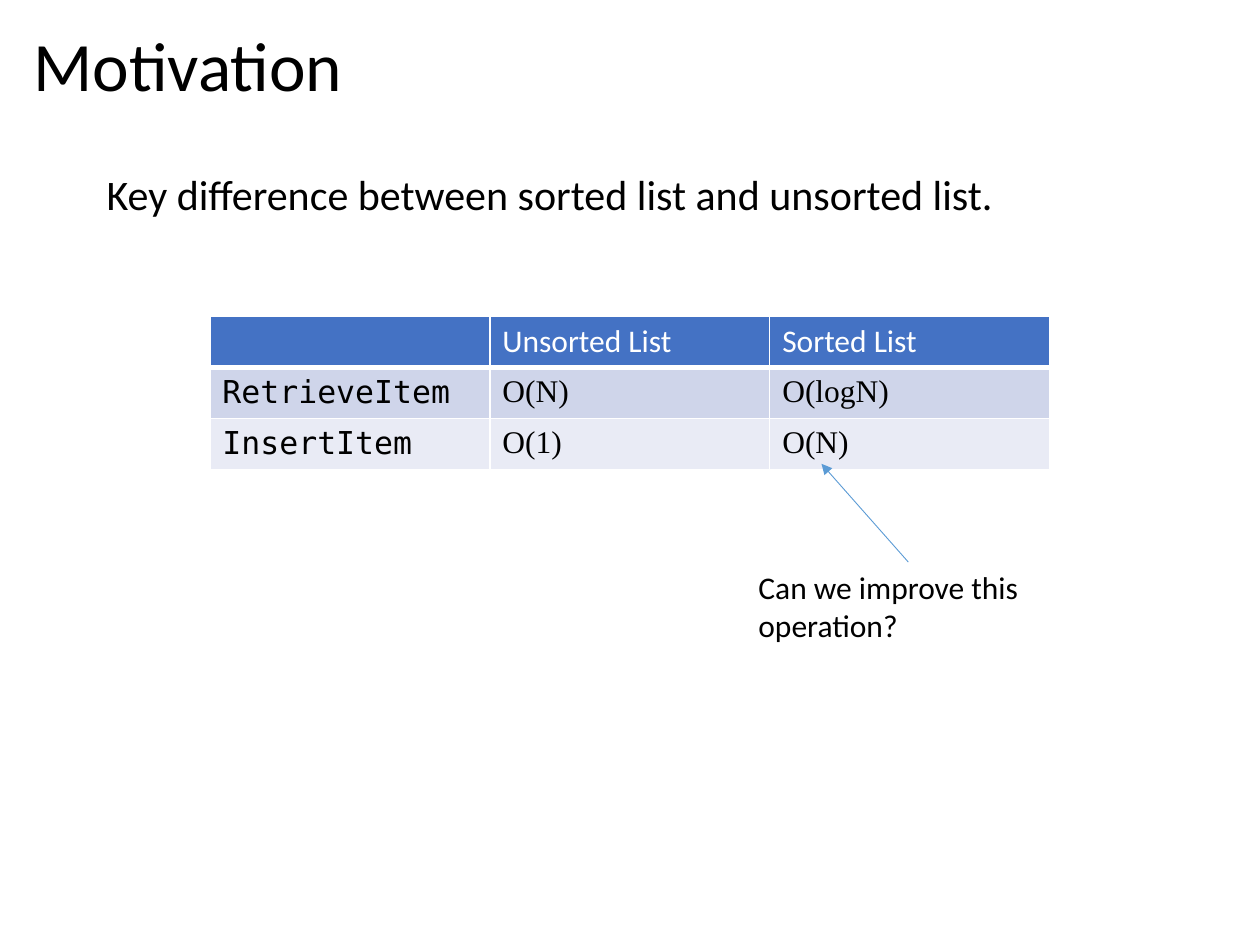
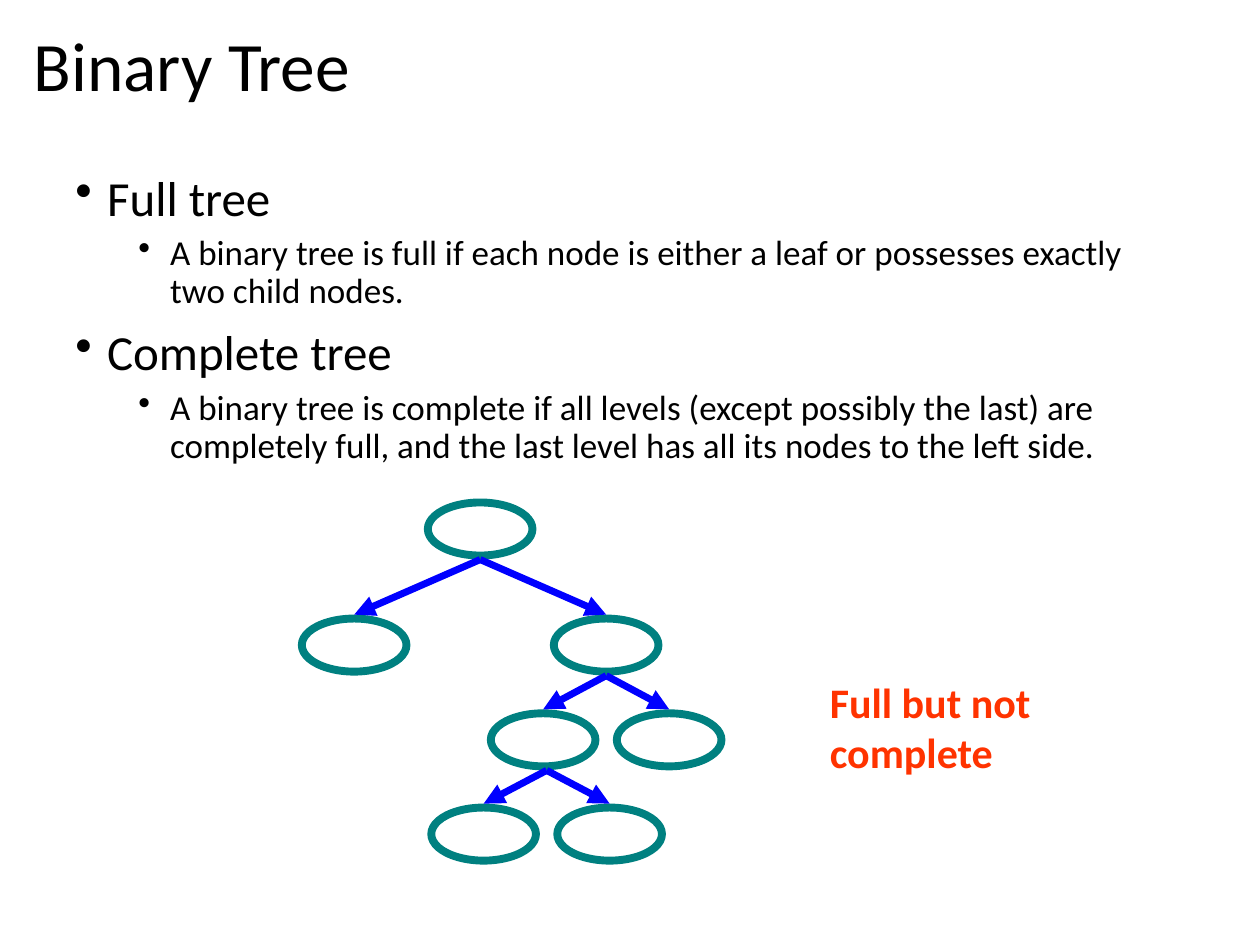
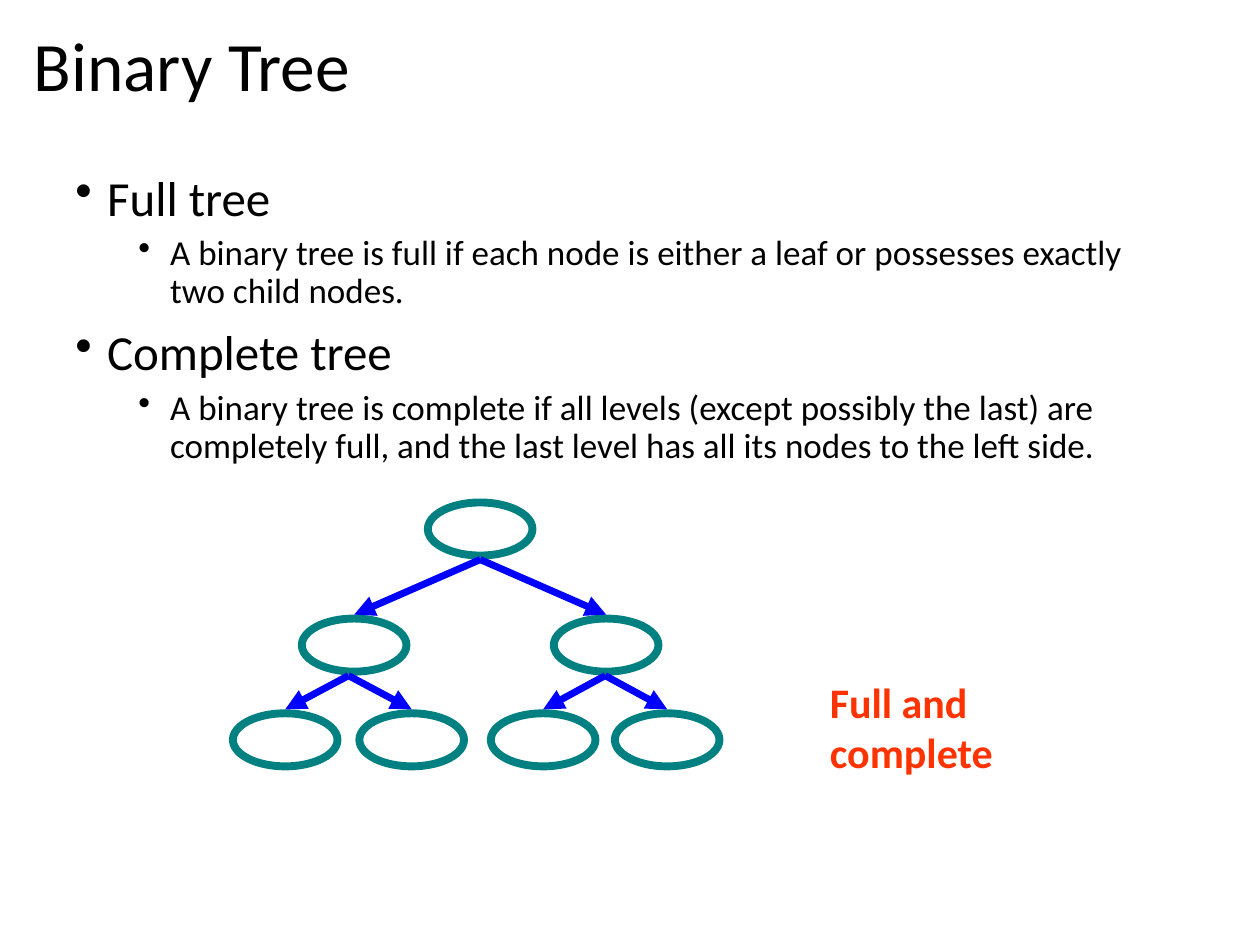
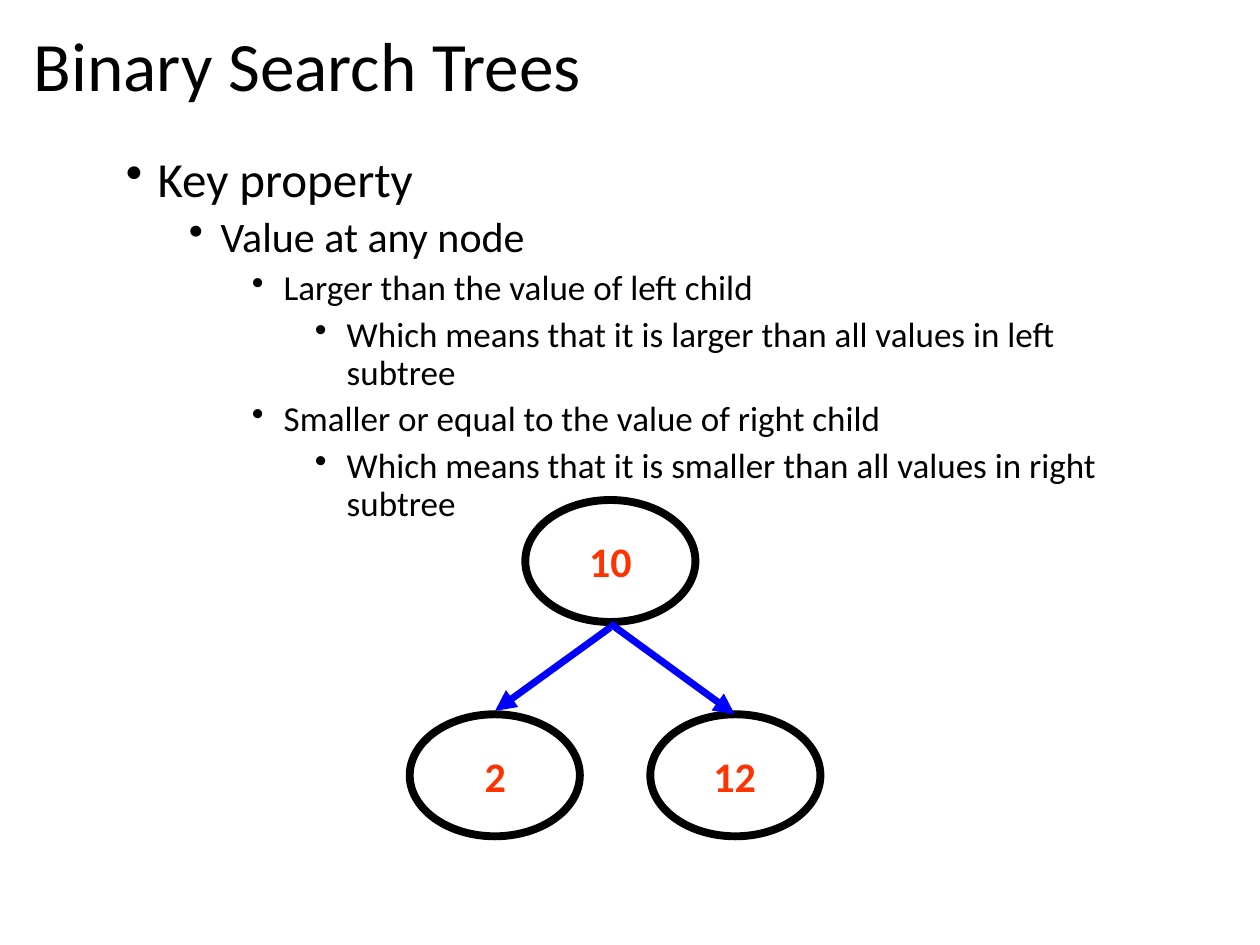
from lxml import etree
from pptx import Presentation
from pptx.dml.color import RGBColor
from pptx.enum.shapes import MSO_CONNECTOR, MSO_SHAPE
from pptx.enum.text import MSO_ANCHOR, MSO_AUTO_SIZE, PP_ALIGN
from pptx.oxml.ns import qn
from pptx.util import Cm, Pt

STRAIGHT = MSO_CONNECTOR.STRAIGHT
ELLIPSE = MSO_SHAPE.OVAL
TOP, MIDDLE = MSO_ANCHOR.TOP, MSO_ANCHOR.MIDDLE
CENTER, JUSTIFY = PP_ALIGN.CENTER, PP_ALIGN.JUSTIFY
FIT_SHAPE = MSO_AUTO_SIZE.SHAPE_TO_FIT_TEXT

BODY_FONT, CODE_FONT, MATH_FONT = "Calibri", "DejaVu Sans Mono", "Times New Roman"
BLACK, WHITE = "000000", "FFFFFF"
TEAL, BLUE, SKY, RED = "008080", "0000FF", "5B9BD5", "FF3300"
ROW_FILLS = ["4472C4", "CFD5EA", "E9EBF5"]

LEVEL_TOPS = [10.13, 12.47, 14.38, 16.28]
NODE_WIDTH, NODE_HEIGHT, ARROW_GAP = 2.11, 1.07, 0.08
INDENT_STEP, BULLET_HANG = 1.27, 0.64

TREE_DEFINITIONS = [
    ("Full tree", 0, 28),
    ("A binary tree is full if each node is either a leaf or possesses exactly two child nodes.", 1, 20),
    ("Complete tree", 0, 28),
    ("A binary tree is complete if all levels (except possibly the last) are completely full, "
     "and the last level has all its nodes to the left side.", 1, 20),
]
SEARCH_TREE_PROPERTY = [
    ("Key property", 0, 28),
    ("Value at any node", 1, 24),
    ("Larger than the value of left child", 2, 20),
    ("Which means that it is larger than all values in left subtree", 3, 20),
    ("Smaller or equal to the value of right child", 2, 20),
    ("Which means that it is smaller than all values in right subtree", 3, 20),
]
COST_ROWS = [
    ["", "Unsorted List", "Sorted List"],
    ["RetrieveItem", "O(N)", "O(logN)"],
    ["InsertItem", "O(1)", "O(N)"],
]


def color(value):
    """Turn a hex string into a colour."""
    return RGBColor.from_string(value)


class Deck:
    """Hold the presentation, its style and the current slide."""

    def __init__(self):
        """Start an empty 10 by 7.5 inch presentation."""
        self.presentation = Presentation()
        self.presentation.slide_width = Cm(25.4)
        self.presentation.slide_height = Cm(19.05)
        self.shapes = None

    def page(self, title):
        """Add a slide with its title."""
        layout = self.presentation.slide_layouts[6]
        self.shapes = self.presentation.slides.add_slide(layout).shapes
        box = self.box((0.43, 0.46, 24.43, 1.88), MIDDLE)
        self.set_para(box.text_frame.paragraphs[0], title, 39.6, line_spacing=0.9)

    def box(self, area, anchor=TOP):
        """Add an empty wrapping text box."""
        box = self.shapes.add_textbox(*map(Cm, area))
        box.text_frame.word_wrap = True
        box.text_frame.vertical_anchor = anchor
        return box

    def set_para(self, para, text, size, ink=BLACK, font=BODY_FONT, bold=False,
                 align=None, line_spacing=None, before=None):
        """Fill and format one paragraph."""
        para.text = text
        para.alignment = align
        para.line_spacing = line_spacing
        para.space_before = None if before is None else Pt(before)
        for span in para.runs:
            span.font.size = Pt(size)
            span.font.name = font
            span.font.bold = bold
            span.font.color.rgb = color(ink)

    def label(self, text, area, size=24, ink=RED, bold=True, align=None):
        """Add a short text whose box fits it."""
        box = self.box(area)
        box.text_frame.auto_size = FIT_SHAPE
        self.set_para(box.text_frame.paragraphs[0], text, size, ink, bold=bold, align=align)

    def statement(self, text, area):
        """Add a justified body sentence without a bullet."""
        box = self.box(area)
        self.set_para(box.text_frame.paragraphs[0], text, 24, align=JUSTIFY,
                      line_spacing=0.9, before=10)

    def bullets(self, items, area):
        """Add a bulleted list of (text, level, size) items."""
        frame = self.box(area).text_frame
        for index, (text, level, size) in enumerate(items):
            para = frame.add_paragraph() if index else frame.paragraphs[0]
            self.set_para(para, text, size, line_spacing=0.9, before=5 if level else 10)
            para.level = level
            properties = para._p.get_or_add_pPr()
            properties.set("marL", str(Cm(BULLET_HANG + level * INDENT_STEP)))
            properties.set("indent", str(-Cm(BULLET_HANG)))
            etree.SubElement(properties, qn("a:buChar"), char="•")

    def ellipse(self, area, ink):
        """Add an outlined ellipse."""
        shape = self.shapes.add_shape(ELLIPSE, *map(Cm, area))
        shape.shadow.inherit = False
        shape.fill.background()
        shape.line.color.rgb = color(ink)
        shape.line.width = Pt(4.5)

    def arrow(self, start, end, ink=BLUE, width=4):
        """Add a straight arrow."""
        connector = self.shapes.add_connector(STRAIGHT, *map(Cm, (*start, *end)))
        connector.line.color.rgb = color(ink)
        connector.line.width = Pt(width)
        properties = connector._element.spPr
        etree.SubElement(properties.find(qn("a:ln")), qn("a:tailEnd"), type="triangle")
        etree.SubElement(properties, qn("a:effectLst"))

    def node(self, center, level):
        """Add a tree node on a level."""
        self.ellipse((center - NODE_WIDTH / 2, LEVEL_TOPS[level], NODE_WIDTH, NODE_HEIGHT), TEAL)

    def tree(self, root, branches):
        """Add a root and (level, left, right) child pairs with their arrows."""
        self.node(root, 0)
        for level, left, right in branches:
            start = (left + right) / 2, LEVEL_TOPS[level - 1] + NODE_HEIGHT + ARROW_GAP
            for child in (left, right):
                self.node(child, level)
                self.arrow(start, (child, LEVEL_TOPS[level] - ARROW_GAP))

    def border(self, cell, bottom):
        """Draw white lines round a cell."""
        properties = cell._tc.get_or_add_tcPr()
        for index, (side, width) in enumerate(zip("LRTB", (1, 1, 1, bottom))):
            line = etree.Element(qn(f"a:ln{side}"), w=str(Pt(width)))
            fill = etree.SubElement(line, qn("a:solidFill"))
            etree.SubElement(fill, qn("a:srgbClr"), val=WHITE)
            properties.insert(index, line)

    def table(self, rows, area):
        """Add a table with a header row, a code column and formula columns."""
        table = self.shapes.add_table(len(rows), len(rows[0]), *map(Cm, area)).table
        for row, texts in enumerate(rows):
            for column, text in enumerate(texts):
                cell = table.cell(row, column)
                cell.fill.solid()
                cell.fill.fore_color.rgb = color(ROW_FILLS[row])
                self.border(cell, 1 if row else 3)
                font = (MATH_FONT if column else CODE_FONT) if row else BODY_FONT
                self.set_para(cell.text_frame.paragraphs[0], text, 18, BLACK if row else WHITE, font)


def main():
    """Build the four slides."""
    deck = Deck()

    deck.page("Motivation")
    deck.statement("Key difference between sorted list and unsorted list.", (1.9, 3.38, 21.6, 13.34))
    deck.table(COST_ROWS, (4.23, 6.38, 16.93, 3.09))
    deck.label("Can we improve this operation?", (15.04, 11.33, 6.58, 1.8), 18, BLACK, False)
    deck.arrow((18.31, 11.33), (16.56, 9.35), SKY, 0.5)

    trees = [
        ("Full but not complete", [(1, 7.14, 12.22), (2, 10.95, 13.49), (3, 9.75, 12.29)]),
        ("Full and complete", [(1, 7.14, 12.22), (2, 5.75, 8.3), (2, 10.95, 13.45)]),
    ]
    for verdict, branches in trees:
        deck.page("Binary Tree")
        deck.bullets(TREE_DEFINITIONS, (1.27, 3.38, 22.86, 12.57))
        deck.tree(9.68, branches)
        deck.label(verdict, (16.48, 13.51, 6.1, 2.31))

    deck.page("Binary Search Trees")
    deck.bullets(SEARCH_TREE_PROPERTY, (2.29, 3, 20.96, 11.18))
    for left, top in [(10.59, 10.08), (8.26, 14.4), (13.11, 14.4)]:
        deck.ellipse((left, top, 3.43, 2.46), BLACK)
    deck.arrow((12.3, 12.57), (14.81, 14.4))
    deck.arrow((12.3, 12.65), (9.98, 14.33))
    for value, left, top, width in [("2", 9.12, 15.01, 1.73), ("10", 11.1, 10.67, 2.41),
                                    ("12", 13.44, 15.01, 2.74)]:
        deck.label(value, (left, top, width, 1.27), align=CENTER)

    deck.presentation.save("out.pptx")


if __name__ == "__main__":
    main()
